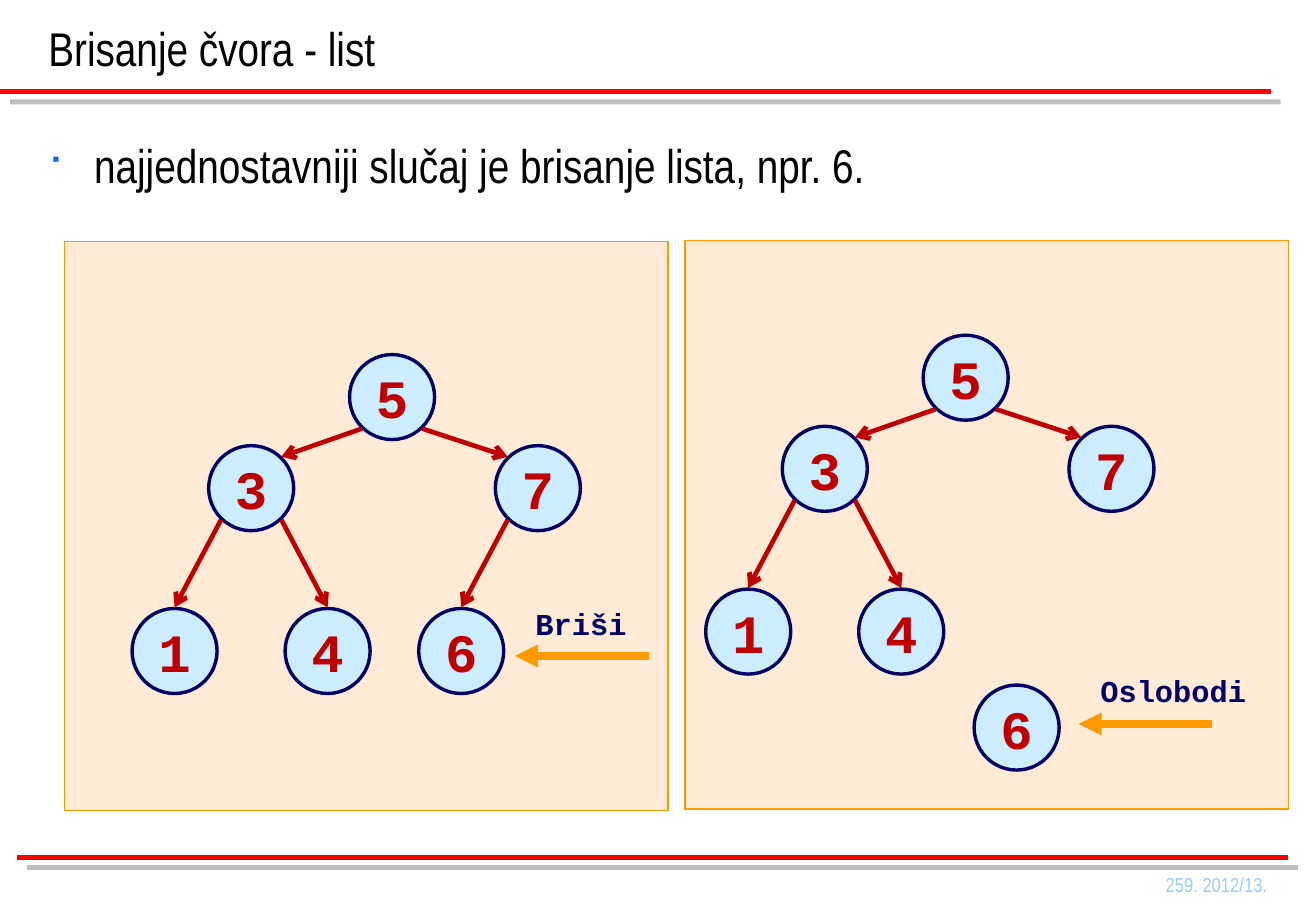
"""Build a slide on deleting a leaf from a binary tree."""
from dataclasses import dataclass

from lxml.etree import SubElement as Sub
from pptx import Presentation
from pptx.dml.color import RGBColor as Rgb
from pptx.enum.shapes import MSO_CONNECTOR as Link, MSO_SHAPE as Kind
from pptx.enum.text import MSO_ANCHOR as Anchor, PP_ALIGN as Align
from pptx.oxml.ns import qn
from pptx.shapes.autoshape import Shape
from pptx.shapes.connector import Connector
from pptx.util import Pt

Point = tuple[float, float]


@dataclass(frozen=True)
class Theme:
    sans: str = "Arial Narrow"
    mono: str = "Courier New"
    signs: str = "Wingdings"
    black: str = "000000"
    red: str = "FF0000"
    gray: str = "808080"
    blue: str = "0066FF"
    navy: str = "000066"
    sky: str = "CCECFF"
    pale: str = "99CCFF"
    wine: str = "C00000"
    gold: str = "FF9900"
    peach: str = "FFCC99"
    head: float = 28
    key: float = 32
    label: float = 18
    foot: float = 12


@dataclass(frozen=True)
class Node:
    key: str
    x: float
    y: float


@dataclass(frozen=True)
class Edge:
    start: str
    end: str


@dataclass(frozen=True)
class Tree:
    root: Point
    panel: Point
    nodes: tuple[Node, ...]
    edges: tuple[Edge, ...]
    note: str
    spot: Point
    width: float
    tip: Point


@dataclass(frozen=True)
class Text:
    words: str
    x: float
    y: float
    w: float
    h: float
    face: str
    size: float
    color: str
    bold: bool = False
    anchor: Anchor = Anchor.TOP
    align: Align = Align.LEFT


THEME = Theme()
SIZE = 50.4
NEAR, FAR = 0.146 * SIZE, 0.854 * SIZE
SHARED = (Node("5", 0, 0), Node("3", -83.5, 54), Node("7", 86.4, 54),
          Node("1", -128.9, 150.5), Node("4", -38.2, 150.5))
LINKS = (Edge("5", "7"), Edge("5", "3"), Edge("3", "1"), Edge("3", "4"))
TREES = (
    Tree((207.2, 210.2), (38.2, 143.3), SHARED + (Node("6", 41, 150.5),),
         LINKS + (Edge("7", "6"),), "Briši", (310.3, 355), 68.4, (305.3, 388.8)),
    Tree((547.2, 198.7), (406.1, 142.6), SHARED + (Node("6", 30.2, 207.4),),
         LINKS, "Oslobodi", (645.1, 394.6), 113, (639.4, 429.1)),
)
RULES = ((0, 54.4), (10.1, 508.1))
TEXTS = (
    Text("Brisanje čvora - list", 21.6, 0, 731.5, 48.6, THEME.sans, THEME.head,
         THEME.black, anchor=Anchor.BOTTOM),
    Text("259. 2012/13.", 610, 513.7, 148.2, 22, THEME.sans, THEME.foot,
         THEME.pale, align=Align.RIGHT),
)
BODY = Text("najjednostavniji slučaj je brisanje lista, npr. 6.", 21.3, 77,
            737.3, 419.8, THEME.sans, THEME.head, THEME.black)

deck = Presentation()
deck.slide_width, deck.slide_height = Pt(780), Pt(540)
shapes = deck.slides.add_slide(deck.slide_layouts[6]).shapes


def write(shape: Shape, text: Text) -> None:
    frame = shape.text_frame
    frame.text = text.words
    frame.vertical_anchor = text.anchor
    line = frame.paragraphs[0]
    line.alignment = text.align
    font = line.runs[0].font
    font.name, font.size, font.bold = text.face, Pt(text.size), text.bold
    font.color.rgb = Rgb.from_string(text.color)


def put(text: Text) -> Shape:
    box = shapes.add_textbox(Pt(text.x), Pt(text.y), Pt(text.w), Pt(text.h))
    write(box, text)
    box.text_frame.word_wrap = True
    return box


def mark(box: Shape) -> None:
    props = box.text_frame.paragraphs[0]._p.get_or_add_pPr()
    props.set("marL", str(Pt(27.4)))
    props.set("indent", str(Pt(-27.4)))
    Sub(Sub(props, qn("a:buClr")), qn("a:srgbClr"), val=THEME.blue)
    Sub(props, qn("a:buSzPct"), val="75000")
    Sub(props, qn("a:buFont"), typeface=THEME.signs)
    Sub(props, qn("a:buChar"), char="■")


def draw(kind: Kind, at: Point, size: Point, fill: str, edge: str,
         width: float) -> Shape:
    shape = shapes.add_shape(kind, Pt(at[0]), Pt(at[1]), Pt(size[0]), Pt(size[1]))
    shape.shadow.inherit = False
    shape.fill.solid()
    shape.fill.fore_color.rgb = Rgb.from_string(fill)
    shape.line.color.rgb = Rgb.from_string(edge)
    shape.line.width = Pt(width)
    return shape


def join(start: Point, end: Point, color: str, width: float,
         tip: str = "none") -> Connector:
    line = shapes.add_connector(Link.STRAIGHT, Pt(start[0]), Pt(start[1]),
                                Pt(end[0]), Pt(end[1]))
    line.line.color.rgb = Rgb.from_string(color)
    line.line.width = Pt(width)
    props = line.element.spPr
    Sub(props.find(qn("a:ln")), qn("a:tailEnd"), type=tip)
    Sub(props, qn("a:effectLst"))
    return line


def shade(line: Connector) -> None:
    effects = line.element.spPr.find(qn("a:effectLst"))
    cast = Sub(effects, qn("a:outerShdw"), dist=str(Pt(8.5)), dir="2700000",
               algn="ctr", rotWithShape="0")
    Sub(Sub(cast, qn("a:srgbClr"), val=THEME.gray), qn("a:alpha"), val="50000")


def back(at: Point) -> None:
    panel = draw(Kind.RECTANGLE, at, (357.8, 337), THEME.peach, THEME.gold, 0.75)
    color = panel.element.spPr.find(qn("a:solidFill"))[0]
    Sub(color, qn("a:alpha"), val="40000")


def grow(tree: Tree) -> None:
    left, top = tree.root
    spots = {n.key: (left + n.x, top + n.y) for n in tree.nodes}
    for key, at in spots.items():
        disk = draw(Kind.OVAL, at, (SIZE, SIZE), THEME.sky, THEME.navy, 2)
        write(disk, Text(key, *at, SIZE, SIZE, THEME.mono, THEME.key, THEME.wine,
                         True, Anchor.MIDDLE, Align.CENTER))
        disk.text_frame.word_wrap = False
    for edge in tree.edges:
        (x, y), (to_x, to_y) = spots[edge.start], spots[edge.end]
        right = to_x > x
        start = (x + (FAR if right else NEAR), y + FAR + 0.8)
        if edge.start == "5":
            end = (to_x + (NEAR if right else FAR), to_y + NEAR - 0.8)
        else:
            end = (to_x + SIZE / 2, to_y - 0.7)
        join(start, end, THEME.wine, 2.75, "arrow")
    x, y = tree.tip
    join((x + 79.2, y), (x, y), THEME.gold, 4.5, "triangle")
    put(Text(tree.note, *tree.spot, tree.width, 28.8, THEME.mono, THEME.label,
             THEME.navy, True))


def main() -> None:
    for x, y in RULES:
        shade(join((x, y), (x + 753.1, y), THEME.red, 3))
    for tree in TREES:
        back(tree.panel)
    for text in TEXTS:
        put(text)
    mark(put(BODY))
    for tree in TREES:
        grow(tree)
    deck.save("out.pptx")


if __name__ == "__main__":
    main()
